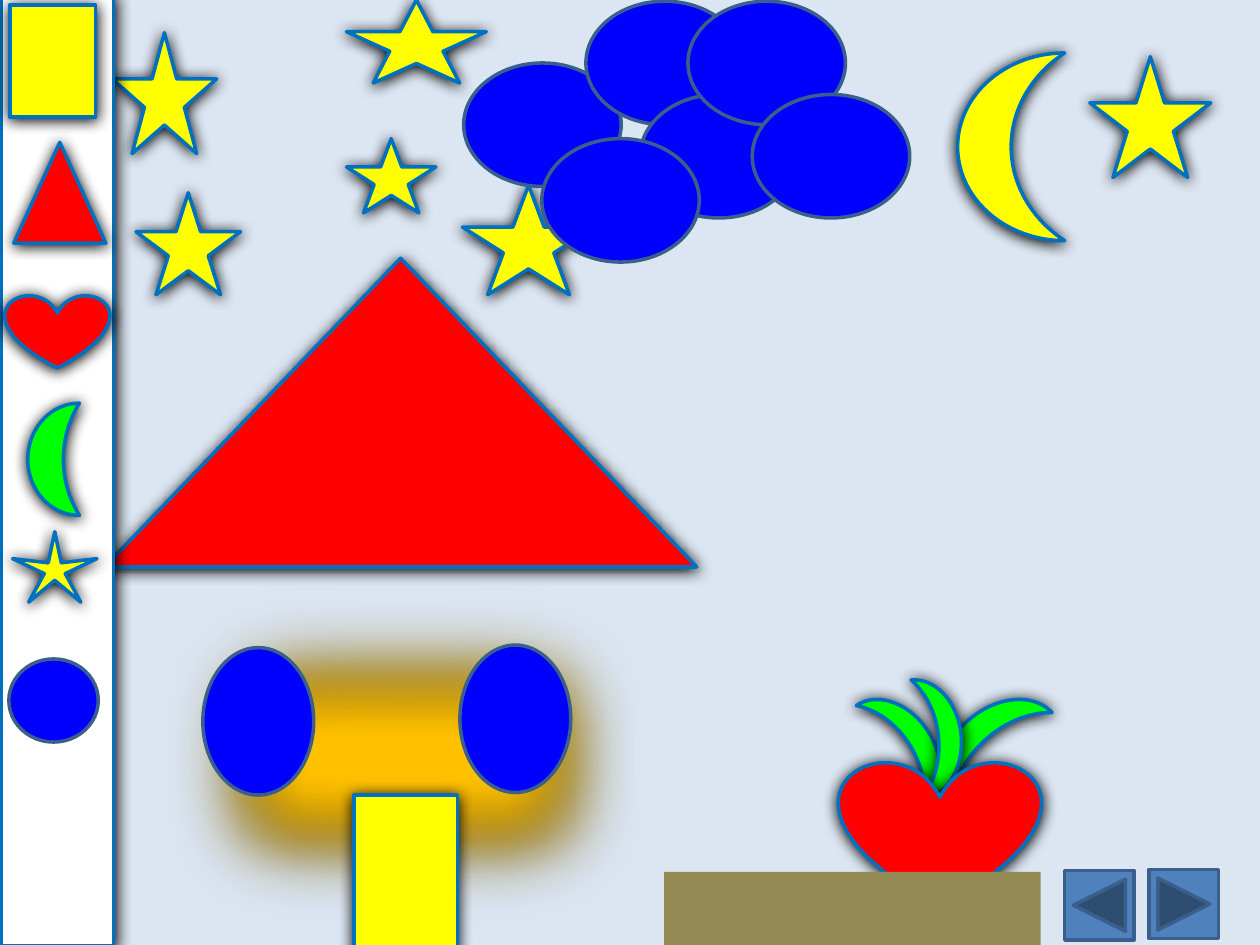
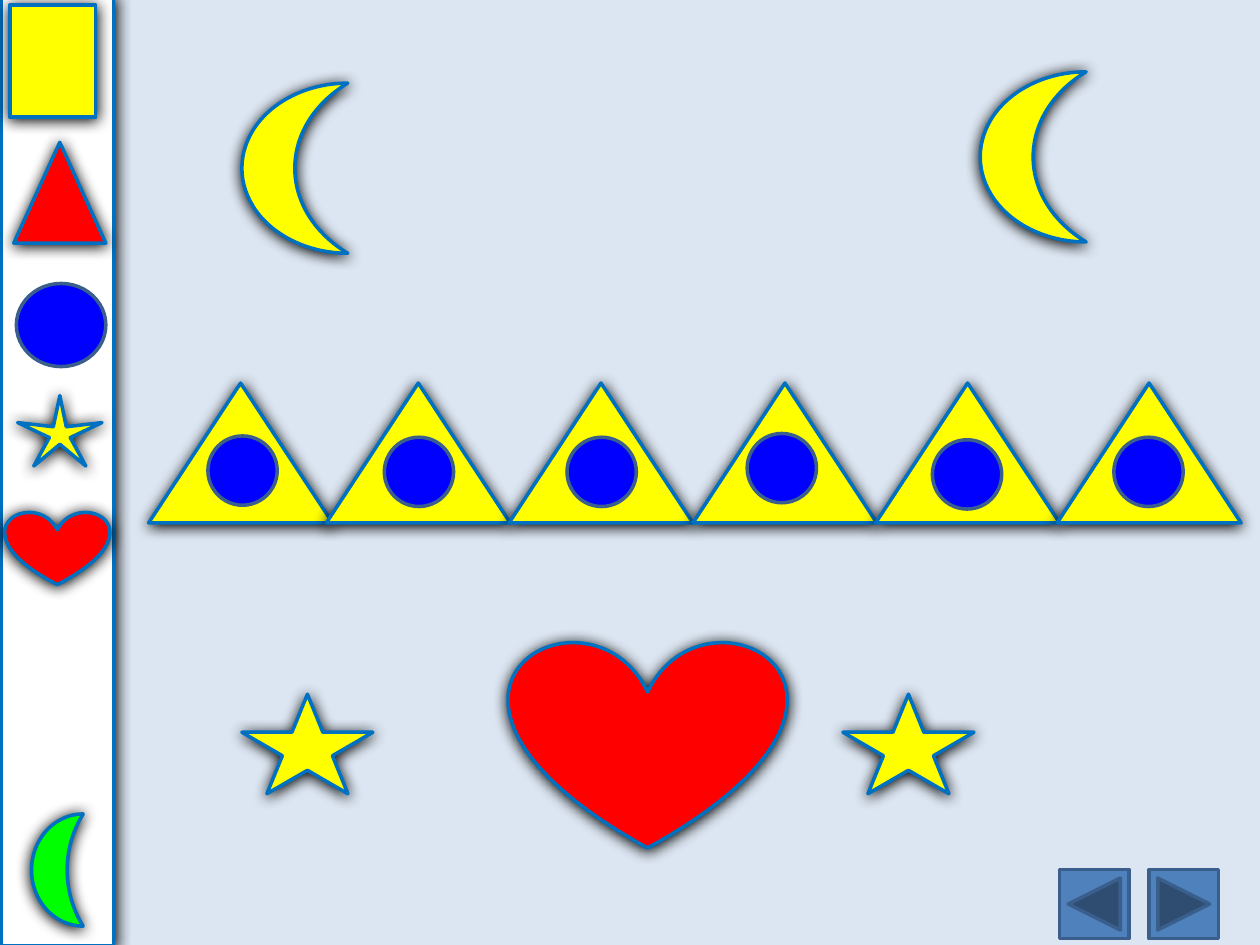
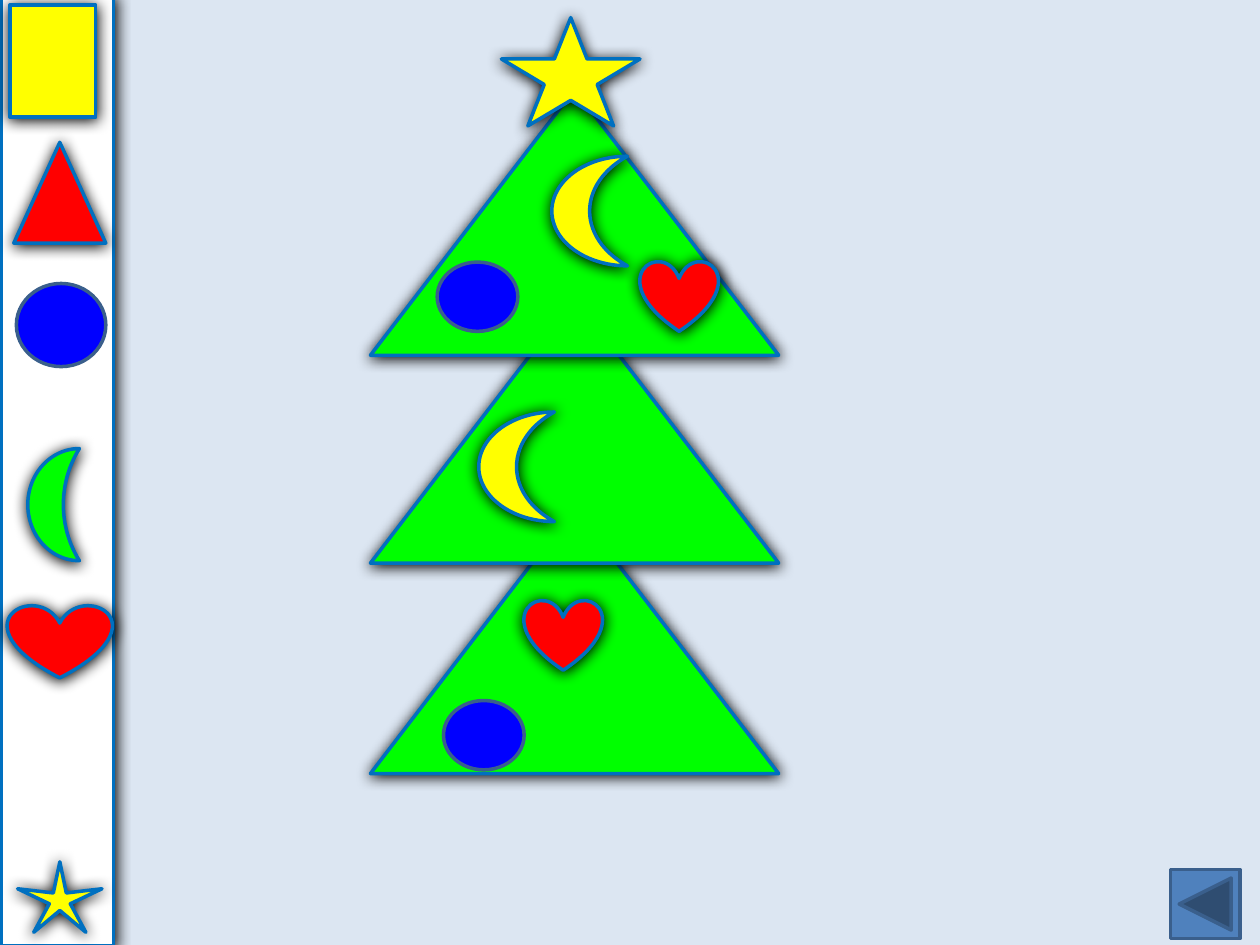
from dataclasses import dataclass

from lxml import etree
from pptx import Presentation
from pptx.dml.color import RGBColor
from pptx.enum import shapes
from pptx.oxml import ns
from pptx.util import Inches, Pt

KIND = shapes.MSO_SHAPE


@dataclass(frozen=True)
class Theme:
    sky: str = "DCE6F2"
    white: str = "FFFFFF"
    yellow: str = "FFFF00"
    red: str = "FF0000"
    green: str = "00FF00"
    blue: str = "0000FF"
    orange: str = "FFC000"
    ground: str = "948A54"
    button: str = "4F81BD"
    outline: str = "0070C0"
    plain_outline: str = "3A5F8C"
    shadow: str = "000000"
    line_width: float = 2
    shadow_blur: float = 8.5
    shadow_distance: float = 1
    soft_edge: float = 50


THEME = Theme()


def add_effect(shape, name, **attributes):
    effects = shape.element.spPr.find(ns.qn("a:effectLst"))
    values = {key: str(value) for key, value in attributes.items()}
    return etree.SubElement(effects, ns.qn(name), values)


def add_shadow(shape):
    shadow = add_effect(
        shape,
        "a:outerShdw",
        blurRad=int(Pt(THEME.shadow_blur)),
        dist=int(Pt(THEME.shadow_distance)),
        dir=5400000,
        algn="ctr",
        rotWithShape=0,
    )
    fill = etree.SubElement(shadow, ns.qn("a:srgbClr"))
    fill.set("val", THEME.shadow)


def add_figure(page, kind, box, fill, outline=None, turn=0, flip=False, adjust=None):
    shape = page.shapes.add_shape(kind, *map(Inches, box))
    shape.shadow.inherit = False
    shape.fill.solid()
    shape.fill.fore_color.rgb = RGBColor.from_string(fill)
    if outline:
        shape.line.color.rgb = RGBColor.from_string(outline)
        shape.line.width = Pt(THEME.line_width)
    else:
        shape.line.fill.background()
    shape.rotation = turn
    if flip:
        shape.element.spPr.get_or_add_xfrm().set("flipH", "1")
    if adjust is not None:
        shape.adjustments[0] = adjust
    return shape


def add_cutout(page, kind, box, fill, **options):
    shape = add_figure(page, kind, box, fill, THEME.outline, **options)
    add_shadow(shape)
    return shape


def add_star(page, box, **options):
    add_cutout(page, KIND.STAR_5_POINT, box, THEME.yellow, **options)


def add_moon(page, box, fill=THEME.yellow, **options):
    add_cutout(page, KIND.MOON, box, fill, **options)


def add_heart(page, box):
    add_cutout(page, KIND.HEART, box, THEME.red)


def add_triangle(page, box, fill):
    add_cutout(page, KIND.ISOSCELES_TRIANGLE, box, fill)


def add_oval(page, box):
    add_figure(page, KIND.OVAL, box, THEME.blue, THEME.plain_outline)


def add_button(page, left, top=6.9, back=False):
    add_figure(
        page,
        KIND.ACTION_BUTTON_FORWARD_OR_NEXT,
        (left, top, 0.55, 0.55),
        THEME.button,
        THEME.plain_outline,
        flip=back,
    )


def add_palette(page, oval, star, heart, moon):
    add_cutout(page, KIND.RECTANGLE, (0.01, -0.04, 0.89, 7.55), THEME.white)
    add_oval(page, (*oval, 0.71, 0.66))
    add_star(page, (*star, 0.67, 0.56), adjust=0.124)
    add_heart(page, (*heart, 0.83, 0.58))
    add_moon(page, (*moon, 0.41, 0.89), THEME.green, turn=180, flip=True, adjust=0.689)
    add_cutout(page, KIND.RECTANGLE, (0.08, 0.04, 0.68, 0.89), THEME.yellow)
    add_triangle(page, (0.11, 1.13, 0.73, 0.8), THEME.red)


def add_page(deck):
    page = deck.slides.add_slide(deck.slide_layouts[6])
    page.background.fill.solid()
    page.background.fill.fore_color.rgb = RGBColor.from_string(THEME.sky)
    return page


def build_house(deck):
    page = add_page(deck)
    leaves = [
        ((7.6, 5.33, 0.41, 1.11), 46.9, False),
        ((7.03, 5.42, 0.36, 0.95), 326.3, True),
        ((7.27, 5.38, 0.36, 0.95), 355.2, True),
    ]
    for box, turn, flip in leaves:
        add_moon(page, box, THEME.green, turn=turn, flip=flip)
    add_moon(page, (7.6, 0.42, 0.85, 1.49))
    stars = [
        (0.89, 0.26, 0.83, 0.96),
        (2.75, 1.1, 0.71, 0.59),
        (3.67, 1.47, 1.05, 0.87),
        (1.08, 1.53, 0.83, 0.81),
        (2.75, 0, 1.11, 0.66),
        (8.65, 0.45, 0.96, 0.96),
    ]
    for box in stars:
        add_star(page, box)
    add_heart(page, (6.66, 6.04, 1.6, 1.16))
    add_figure(page, KIND.RECTANGLE, (5.27, 6.92, 2.99, 0.63), THEME.ground)
    wall = add_cutout(page, KIND.RECTANGLE, (1.08, 4.5, 4.27, 3.01), THEME.orange)
    add_effect(wall, "a:softEdge", rad=int(Pt(THEME.soft_edge)))
    add_cutout(page, KIND.RECTANGLE, (2.81, 6.31, 0.82, 1.24), THEME.yellow)
    for left, top in [(1.61, 5.14), (3.65, 5.12)]:
        add_oval(page, (left, top, 0.88, 1.17))
    cloud = [
        (3.68, 0.5),
        (4.65, 0.01),
        (5.08, 0.75),
        (5.46, 0.01),
        (4.3, 1.1),
        (5.97, 0.75),
    ]
    for left, top in cloud:
        add_oval(page, (left, top, 1.25, 0.98))
    add_triangle(page, (0.83, 2.05, 4.7, 2.45), THEME.red)
    add_palette(page, (0.07, 5.23), (0.1, 4.22), (0.04, 2.34), (0.22, 3.2))
    add_button(page, 8.45, 6.91, back=True)
    add_button(page, 9.12)


def build_pattern(deck):
    page = add_page(deck)
    for left in (1.18, 2.59, 4.04, 5.5, 6.95, 8.39):
        add_triangle(page, (left, 3.04, 1.46, 1.11), THEME.yellow)
    add_heart(page, (4.04, 5.08, 2.2, 1.65))
    for left in (1.92, 6.69):
        add_star(page, (left, 5.51, 1.04, 0.79))
    for left, top in [(1.92, 0.66), (7.78, 0.57)]:
        add_moon(page, (left, top, 0.84, 1.35))
    dots = [
        (1.65, 3.46),
        (3.05, 3.47),
        (4.5, 3.47),
        (5.93, 3.44),
        (7.4, 3.49),
        (8.84, 3.47),
    ]
    for left, top in dots:
        add_oval(page, (left, top, 0.55, 0.55))
    add_button(page, 8.41, back=True)
    add_button(page, 9.12)
    add_palette(page, (0.13, 2.25), (0.14, 3.14), (0.04, 4.06), (0.25, 6.46))


def build_tree(deck):
    page = add_page(deck)
    for top in (4.03, 2.36, 0.71):
        add_triangle(page, (2.94, top, 3.24, 2.11), THEME.green)
    add_star(page, (3.98, 0.14, 1.1, 0.86))
    for left, top in [(3.52, 5.56), (3.47, 2.08)]:
        add_oval(page, (left, top, 0.64, 0.55))
    for left, top in [(5.08, 2.07), (4.16, 4.76)]:
        add_heart(page, (left, top, 0.62, 0.56))
    for left, top in [(3.8, 3.27), (4.38, 1.24)]:
        add_moon(page, (left, top, 0.6, 0.87))
    add_button(page, 9.29, back=True)
    add_palette(page, (0.13, 2.25), (0.14, 6.84), (0.06, 4.8), (0.22, 3.56))


def main():
    deck = Presentation()
    deck.slide_width = Inches(10)
    deck.slide_height = Inches(7.5)
    build_house(deck)
    build_pattern(deck)
    build_tree(deck)
    deck.save("out.pptx")


if __name__ == "__main__":
    main()
